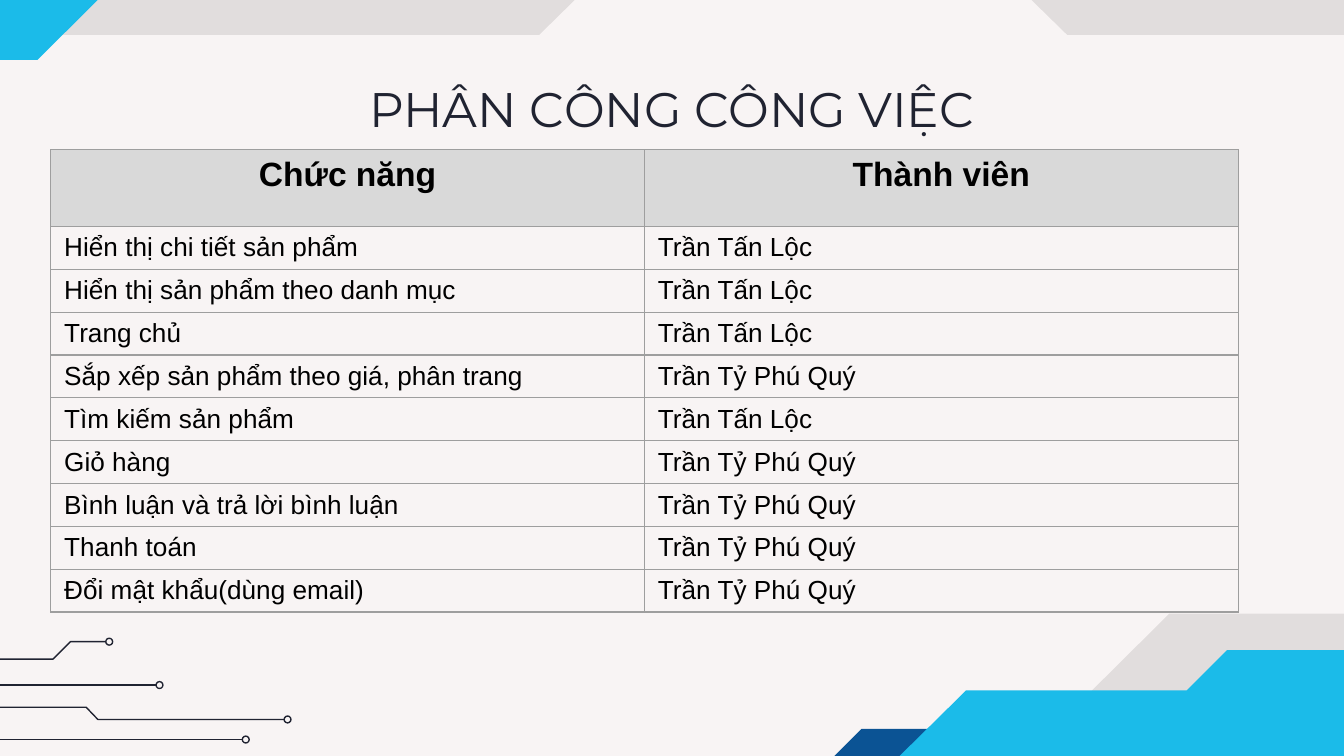
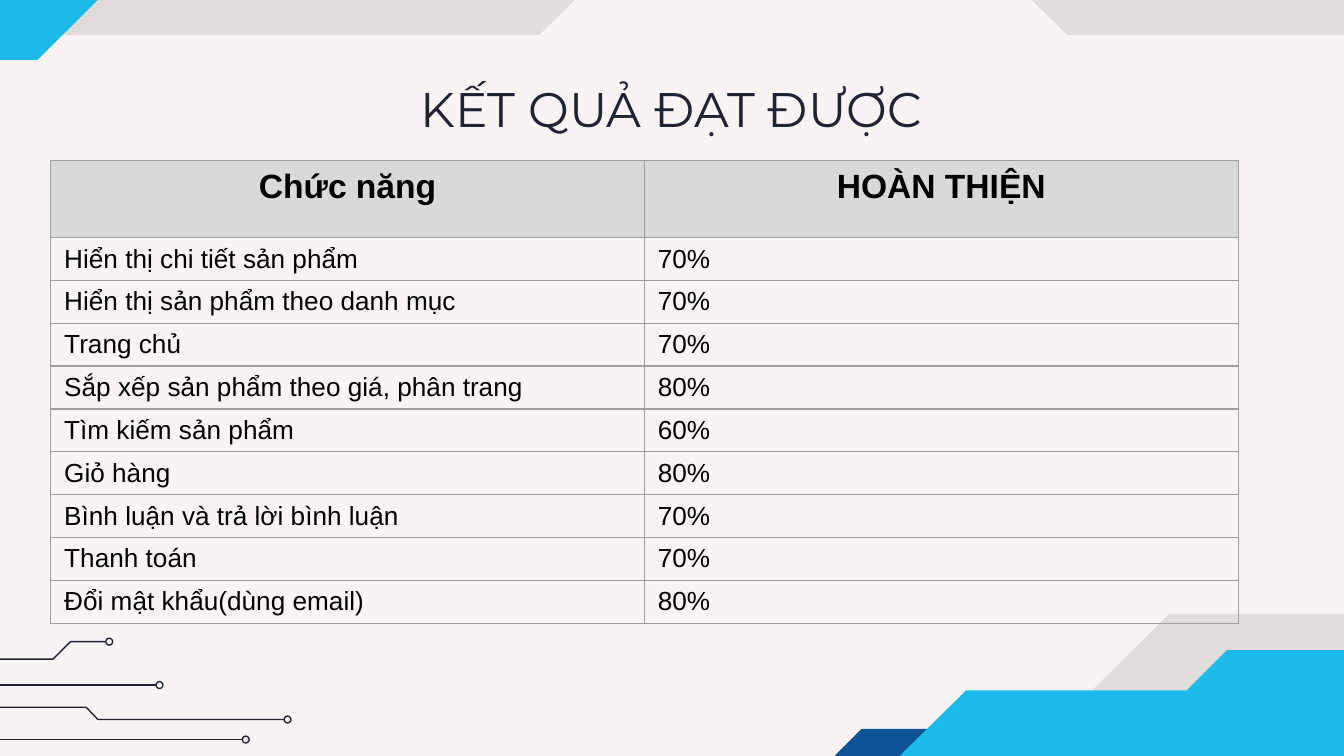
from lxml import etree
from pptx import Presentation
from pptx.dml.color import RGBColor
from pptx.enum.shapes import MSO_CONNECTOR, MSO_SHAPE
from pptx.enum.text import MSO_ANCHOR, PP_ALIGN
from pptx.oxml.ns import qn
from pptx.util import Cm, Pt

STRAIGHT = MSO_CONNECTOR.STRAIGHT
ELLIPSE = MSO_SHAPE.OVAL
MIDDLE = MSO_ANCHOR.MIDDLE
CENTER = PP_ALIGN.CENTER
LEFT = PP_ALIGN.LEFT

COLORS = {
    "background": "F8F4F4",
    "ink": "202331",
    "sky": "1BBBE9",
    "navy": "0B5394",
    "shade": "000000",
    "text": "000000",
    "header": "D9D9D9",
    "border": "9E9E9E",
}
TITLE_FONT, TABLE_FONT = "Montserrat", "Arial"
TITLE_ONLY = 5
WIDTH, HEIGHT = 25.4, 14.29
LINE_WIDTH = Pt(0.75)
NODE_SIZE = 0.13

# Bands bleeding over the slide edges: colour, opacity in percent, corners in cm
BANDS = [
    ("shade", 9, [(22.1, 11.6), (19.25, 14.43), (18.44, 14.43), (18.44, 15.88),
                  (26.24, 15.88), (26.24, 11.6)]),
    ("shade", 9, [(20.17, 0.66), (17.32, -2.13), (13.03, -2.13), (10.19, 0.66),
                  (-0.3, 0.66), (-0.3, -4.57), (25.7, -4.57), (25.7, 0.66)]),
    ("navy", 100, [(15.77, HEIGHT), (16.28, 13.78), (18.57, 13.78), (18.06, HEIGHT)]),
    ("sky", 100, [(29.16, 12.29), (29.16, 20.68), (14.96, 20.68), (14.96, 14.53),
                  (16.76, 14.53), (18.26, 13.05), (22.43, 13.05), (23.19, 12.29)]),
    ("sky", 100, [(0.71, 1.13), (3.56, -1.7), (4.37, -1.7), (4.37, -3.15),
                  (-3.4, -3.15), (-3.4, 1.13)]),
]

# Circuit traces, each ending in a small ring
TRACES = [
    [(-1.27, 12.95), (2.95, 12.95)],
    [(-2.21, 12.46), (1, 12.46), (1.33, 12.13), (2, 12.13)],
    [(-3.02, 13.37), (1.63, 13.37), (1.85, 13.6), (5.37, 13.6)],
    [(-3.66, 13.98), (4.58, 13.98)],
]

FEATURES = [
    "Hiển thị chi tiết sản phẩm",
    "Hiển thị sản phẩm theo danh mục",
    "Trang chủ",
    "Sắp xếp sản phẩm theo giá, phân trang",
    "Tìm kiếm sản phẩm",
    "Giỏ hàng",
    "Bình luận và trả lời bình luận",
    "Thanh toán",
    "Đổi mật khẩu(dùng email)",
]
LOC, QUY = "Trần Tấn Lộc", "Trần Tỷ Phú Quý"
MEMBERS = [LOC, LOC, LOC, QUY, LOC, QUY, QUY, QUY, QUY]
COMPLETION = ["70%", "70%", "70%", "80%", "60%", "80%", "70%", "70%", "80%"]
COLUMN_WIDTH = 11.22


def color(name):
    return RGBColor.from_string(COLORS[name])


def add_run(para, text, font, size, color_name, bold=False):
    span = para.add_run()
    span.text = text
    span.font.name = font
    span.font.size = Pt(size)
    span.font.bold = bold
    span.font.color.rgb = color(color_name)


def set_outline(shape):
    shape.line.color.rgb = color("ink")
    shape.line.width = LINE_WIDTH


def add_outline_shape(page, points, close):
    corners = [(Cm(x), Cm(y)) for x, y in points]
    builder = page.shapes.build_freeform(*corners[0])
    builder.add_line_segments(corners[1:], close=close)
    shape = builder.convert_to_shape()
    shape.shadow.inherit = False
    return shape


def add_band(page, color_name, opacity, points):
    band = add_outline_shape(page, points, True)
    band.fill.solid()
    band.fill.fore_color.rgb = color(color_name)
    band.line.fill.background()
    if opacity < 100:
        tint = band.fill._xPr.find(".//" + qn("a:srgbClr"))
        etree.SubElement(tint, qn("a:alpha"), val=str(opacity * 1000))


def add_trace(page, points):
    end_x, end_y = points[-1]
    if len(points) == 2:
        ends = [Cm(value) for point in points for value in point]
        trace = page.shapes.add_connector(STRAIGHT, *ends)
        etree.SubElement(trace._element.spPr, qn("a:effectLst"))
    else:
        trace = add_outline_shape(page, points, False)
        trace.fill.background()
    set_outline(trace)

    ring = page.shapes.add_shape(ELLIPSE, Cm(end_x), Cm(end_y - NODE_SIZE / 2),
                                 Cm(NODE_SIZE), Cm(NODE_SIZE))
    ring.shadow.inherit = False
    ring.fill.background()
    set_outline(ring)


def add_title(page, text):
    box = page.shapes.title
    box.left, box.top, box.width, box.height = Cm(2), Cm(1.24), Cm(21.4), Cm(1.6)
    frame = box.text_frame
    frame.margin_left = frame.margin_right = Cm(0.25)
    frame.margin_top = frame.margin_bottom = Cm(0.25)
    frame.word_wrap = True
    frame.vertical_anchor = MIDDLE
    para = frame.paragraphs[0]
    para.alignment = CENTER
    add_run(para, text, TITLE_FONT, 26, "ink")


def add_borders(cell):
    properties = cell._tc.get_or_add_tcPr()
    for side in ("lnL", "lnR", "lnT", "lnB"):
        line = etree.SubElement(properties, qn(f"a:{side}"), w=str(LINE_WIDTH))
        fill = etree.SubElement(line, qn("a:solidFill"))
        etree.SubElement(fill, qn("a:srgbClr"), val=COLORS["border"])


def fill_cell(cell, text, is_header):
    add_borders(cell)
    if is_header:
        cell.fill.solid()
        cell.fill.fore_color.rgb = color("header")
    else:
        cell.fill.background()
    para = cell.text_frame.paragraphs[0]
    para.alignment = CENTER if is_header else LEFT
    add_run(para, text, TABLE_FONT, 18 if is_header else 14, "text", is_header)


def add_feature_table(page, top, heading, values):
    rows = [("Chức năng", heading), *zip(FEATURES, values)]
    heights = [1.45] + [0.66] * len(FEATURES)
    table = page.shapes.add_table(len(rows), 2, Cm(0.96), Cm(top),
                                  Cm(2 * COLUMN_WIDTH), Cm(sum(heights))).table
    table.horz_banding = False
    for column in table.columns:
        column.width = Cm(COLUMN_WIDTH)
    for row_index, texts in enumerate(rows):
        table.rows[row_index].height = Cm(heights[row_index])
        for column_index, text in enumerate(texts):
            fill_cell(table.cell(row_index, column_index), text, row_index == 0)


def add_page(deck, title, table_top, heading, values):
    page = deck.slides.add_slide(deck.slide_layouts[TITLE_ONLY])
    for band in BANDS:
        add_band(page, *band)
    for points in TRACES:
        add_trace(page, points)
    add_title(page, title)
    add_feature_table(page, table_top, heading, values)


def main():
    deck = Presentation()
    deck.slide_width, deck.slide_height = Cm(WIDTH), Cm(HEIGHT)
    backdrop = deck.slide_master.background.fill
    backdrop.solid()
    backdrop.fore_color.rgb = color("background")

    add_page(deck, "PHÂN CÔNG CÔNG VIỆC", 2.83, "Thành viên", MEMBERS)
    add_page(deck, "KẾT QUẢ ĐẠT ĐƯỢC", 3.04, "HOÀN THIỆN", COMPLETION)
    deck.save("out.pptx")


if __name__ == "__main__":
    main()
